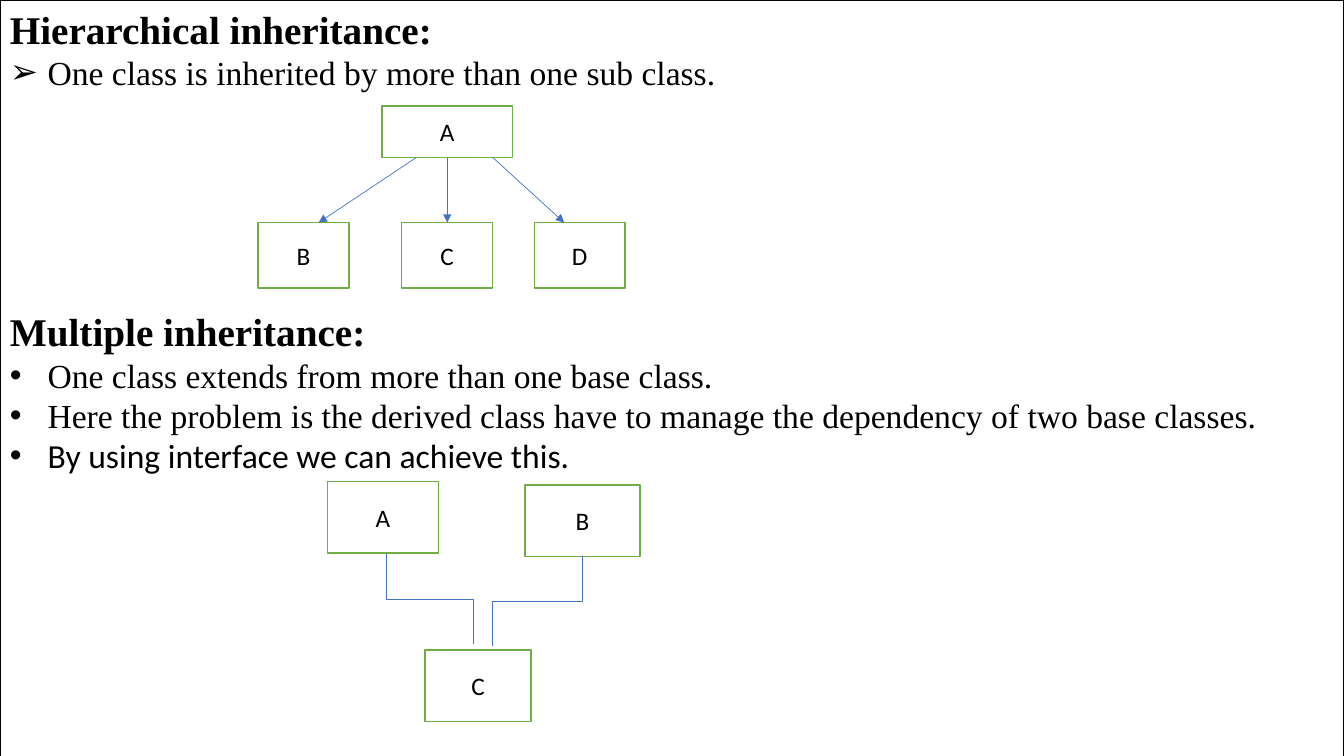
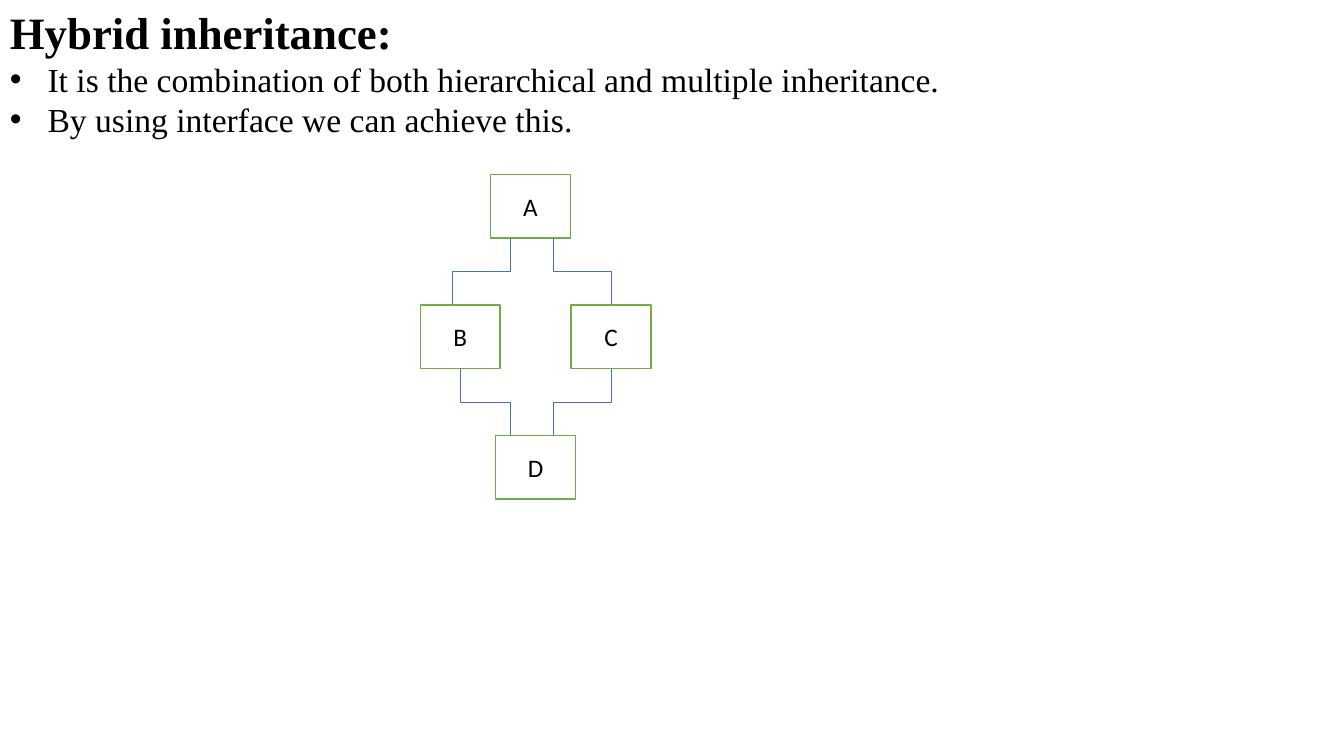
import pptx
import pptx.util
import pptx.dml.color
import pptx.enum.shapes
import pptx.enum.text
import pptx.oxml.ns
from lxml import etree
from pptx.util import Cm, Pt

COLORS = {"text": "000000", "paper": "FFFFFF", "box": "70AD47", "link": "4472C4"}
SERIF, SANS = "Times New Roman", "Calibri"
WIDTH, HEIGHT = Cm(33.87), Cm(19.05)
qn = pptx.oxml.ns.qn


def color(name):
    return pptx.dml.color.RGBColor.from_string(COLORS[name])


class Deck:
    def __init__(self):
        self.presentation = pptx.Presentation()
        self.presentation.slide_width = WIDTH
        self.presentation.slide_height = HEIGHT
        self.slide = None

    def new_slide(self):
        self.slide = self.presentation.slides.add_slide(self.presentation.slide_layouts[6])

    def rectangle(self, left, top, width, height, outline):
        shape = self.slide.shapes.add_shape(
            pptx.enum.shapes.MSO_SHAPE.RECTANGLE, left, top, width, height)
        shape.shadow.inherit = False
        shape.fill.solid()
        shape.fill.fore_color.rgb = color("paper")
        shape.line.color.rgb = color(outline)
        shape.line.width = Pt(1)
        return shape

    def style(self, paragraph, size, font, bold=False):
        for run in paragraph.runs:
            run.font.size = Pt(size)
            run.font.name = font
            run.font.bold = bold
            run.font.color.rgb = color("text")

    def section(self, top, height, title, title_size, points, bullet="•"):
        """Add a heading and its bulleted points, given as (text, font) pairs."""
        frame = self.slide.shapes.add_textbox(0, top, WIDTH, height).text_frame
        frame.word_wrap = True
        heading = frame.paragraphs[0]
        heading.text = title
        self.style(heading, title_size, SERIF, bold=True)
        for text, font in points:
            point = frame.add_paragraph()
            point.text = text
            self.style(point, 24, font)
            properties = point._p.get_or_add_pPr()
            properties.set("marL", str(Cm(0.95)))
            properties.set("indent", str(-Cm(0.95)))
            etree.SubElement(properties, qn("a:buFont")).set("typeface", "Arial")
            etree.SubElement(properties, qn("a:buChar")).set("char", bullet)

    def class_box(self, label, center, top, width, height):
        box = self.rectangle(Cm(center) - Cm(width) // 2, Cm(top),
                             Cm(width), Cm(height), "box")
        frame = box.text_frame
        frame.vertical_anchor = pptx.enum.text.MSO_ANCHOR.MIDDLE
        frame.text = label
        frame.paragraphs[0].alignment = pptx.enum.text.PP_ALIGN.CENTER
        self.style(frame.paragraphs[0], 18, SANS)
        return box

    def connector(self, kind, start_x, start_y, end_x, end_y):
        link = self.slide.shapes.add_connector(kind, start_x, start_y, end_x, end_y)
        link.line.color.rgb = color("link")
        link.line.width = Pt(0.5)
        etree.SubElement(link._element.spPr, qn("a:effectLst"))
        return link

    def arrow(self, parent, child, start=None, end=None):
        """Point from parent to child, joining the mid sides unless x positions are given."""
        joined = start is None
        start_x = parent.left + parent.width // 2 if joined else Cm(start)
        end_x = child.left + child.width // 2 if joined else Cm(end)
        link = self.connector(pptx.enum.shapes.MSO_CONNECTOR.STRAIGHT, start_x,
                              parent.top + parent.height, end_x, child.top)
        if joined:
            link.begin_connect(parent, 2)
            link.end_connect(child, 0)
        etree.SubElement(link.line._get_or_add_ln(), qn("a:tailEnd")).set("type", "triangle")

    def elbow(self, start_x, start_y, end_x, end_y):
        """Run down, across and down: a sideways elbow turned about its centre."""
        center_x, center_y = (start_x + end_x) // 2, (start_y + end_y) // 2
        half_width, half_height = (end_y - start_y) // 2, abs(end_x - start_x) // 2
        rightward = end_x > start_x
        if rightward:
            half_width = -half_width
        link = self.connector(
            pptx.enum.shapes.MSO_CONNECTOR.ELBOW,
            center_x - half_width, center_y - half_height,
            center_x + half_width, center_y + half_height)
        turn = 270 if rightward else 90
        link._element.spPr.find(qn("a:xfrm")).set("rot", str(turn * 60000))


def hierarchical_and_multiple(deck):
    deck.new_slide()
    deck.rectangle(0, 0, WIDTH, Cm(21.46), "text")
    deck.section(0, Cm(2.5), "Hierarchical inheritance:", 28,
                 [("One class is inherited by more than one sub class.", SERIF)], "➢")
    deck.section(Cm(7.62), Cm(4.5), "Multiple inheritance:", 28, [
        ("One class extends from more than one base class.", SERIF),
        ("Here the problem is the derived class have to manage the dependency "
         "of two base classes.", SERIF),
        ("By using interface we can achieve this.", SANS)])

    base = deck.class_box("A", 11.27, 2.67, 3.28, 1.3)
    left, middle, right = [deck.class_box(label, center, 5.61, 2.29, 1.65)
                           for label, center in (("B", 7.65), ("C", 11.27), ("D", 14.61))]
    deck.arrow(base, left, 10.49, 8.03)
    deck.arrow(base, middle)
    deck.arrow(base, right, 12.42, 14.22)

    for label, center, top, width in (("A", 9.65, 12.14, 2.79), ("B", 14.68, 12.22, 2.9),
                                      ("C", 12.05, 16.38, 2.67)):
        deck.class_box(label, center, top, width, 1.8)
    deck.elbow(Cm(9.75), Cm(13.97), Cm(11.94), Cm(16.23))
    deck.elbow(Cm(14.68), Cm(14.02), Cm(12.42), Cm(16.28))


def hybrid(deck):
    deck.new_slide()
    deck.section(0, Cm(15.98), "Hybrid inheritance:", 32, [
        ("It is the combination of both hierarchical and multiple inheritance.", SERIF),
        ("By using interface we can achieve this.", SERIF)])

    first_top, row_step = 4.4, 3.29
    boxes = {label: deck.class_box(label, center, first_top + row * row_step, 2.01, 1.6)
             for label, center, row in (("A", 13.37, 0), ("B", 11.6, 1),
                                        ("C", 15.4, 1), ("D", 13.5, 2))}
    for parent, child, start, end in (("A", "C", 13.94, 15.4), ("A", "B", 12.85, 11.4),
                                      ("B", "D", 11.6, 12.85), ("C", "D", 15.4, 13.94)):
        upper, lower = boxes[parent], boxes[child]
        deck.elbow(Cm(start), upper.top + upper.height, Cm(end), lower.top)


def main():
    deck = Deck()
    hierarchical_and_multiple(deck)
    hybrid(deck)
    deck.presentation.save("out.pptx")


if __name__ == "__main__":
    main()
